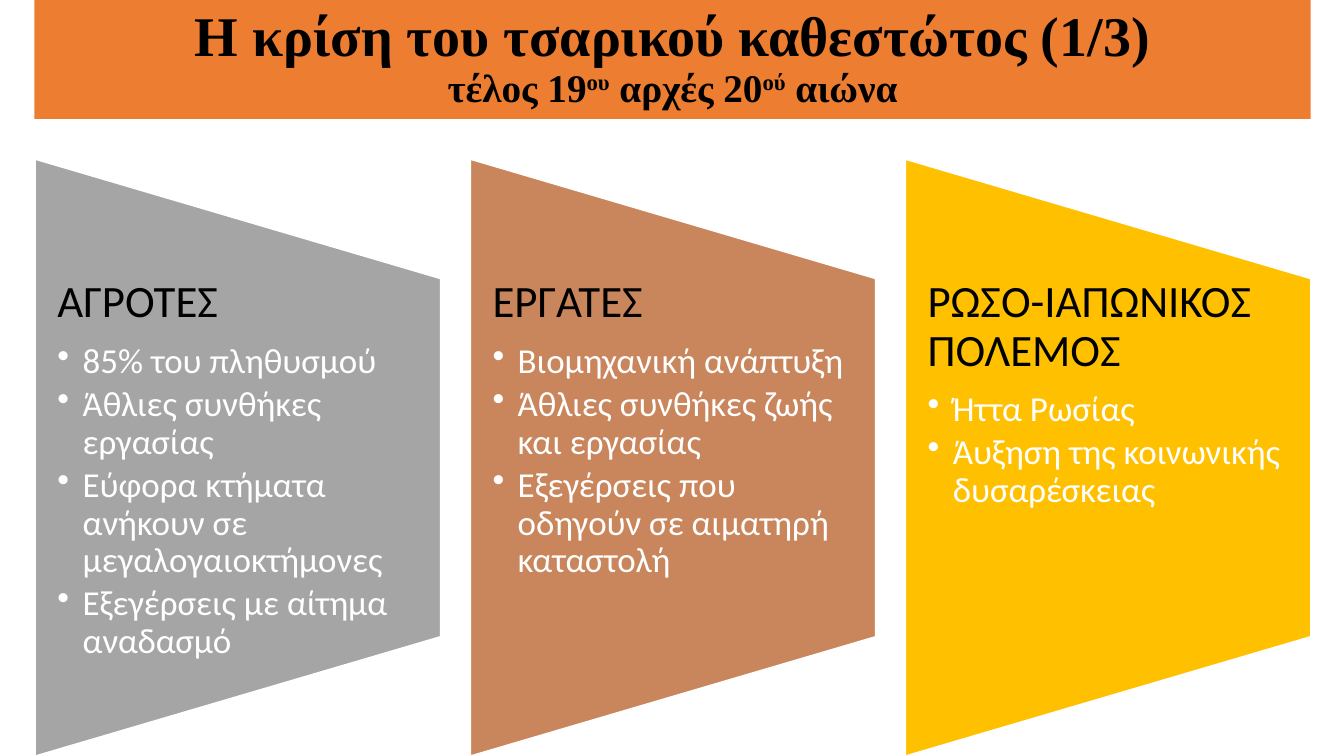
import dataclasses

import pptx
import pptx.dml.color
import pptx.enum.shapes
import pptx.enum.text
import pptx.oxml
import pptx.oxml.ns
import pptx.util

Inches = pptx.util.Inches
Pt = pptx.util.Pt


@dataclasses.dataclass
class Panel:
    head: str
    fill: str
    points: list[str]


@dataclasses.dataclass
class Part:
    text: str
    size: int
    raised: bool = False


PANELS = [
    Panel("ΑΓΡΟΤΕΣ", "A5A5A5", [
        "85% του πληθυσμού",
        "Άθλιες συνθήκες εργασίας",
        "Εύφορα κτήματα ανήκουν σε μεγαλογαιοκτήμονες",
        "Εξεγέρσεις με αίτημα αναδασμό",
    ]),
    Panel("ΕΡΓΑΤΕΣ", "C9865C", [
        "Βιομηχανική ανάπτυξη",
        "Άθλιες συνθήκες ζωής και εργασίας",
        "Εξεγέρσεις που οδηγούν σε αιματηρή καταστολή",
    ]),
    Panel("ΡΩΣΟ-ΙΑΠΩΝΙΚΟΣ ΠΟΛΕΜΟΣ", "FFC000", [
        "Ήττα Ρωσίας",
        "Άυξηση της κοινωνικής δυσαρέσκειας",
    ]),
]

TITLE = "Η κρίση του τσαρικού καθεστώτος (1/3)"
PERIOD = [
    Part("τέλος 19", 28),
    Part("ου", 28, True),
    Part(" αρχές 20", 28),
    Part("ού", 28, True),
    Part(" αιώνα", 28),
]

LEFT, STEP = 0.35, 4.315
WIDE, TALL = 4.02, 5.92
MID = 4.54


def color(code: str) -> pptx.dml.color.RGBColor:
    return pptx.dml.color.RGBColor.from_string(code)


def paint(shape, fill: str) -> None:
    shape.shadow.inherit = False
    shape.fill.solid()
    shape.fill.fore_color.rgb = color(fill)


def style(para, face: str, code: str, size: float | None = None,
          bold: bool = False) -> None:
    para.line_spacing = 0.9
    para.font.name = face
    para.font.color.rgb = color(code)
    para.font.bold = bold
    if size:
        para.font.size = Pt(size)


def add_part(para, part: Part) -> None:
    run = para.add_run()
    run.text = part.text
    run.font.size = Pt(part.size)
    if part.raised:
        run.font._element.set("baseline", "30000")


def add_title(slide) -> None:
    bar = slide.shapes.add_shape(
        pptx.enum.shapes.MSO_SHAPE.RECTANGLE,
        Inches(0.34), 0, Inches(12.66), Inches(1.18))
    paint(bar, "ED7D31")
    bar.line.fill.background()
    frame = bar.text_frame
    frame.word_wrap = True
    frame.vertical_anchor = pptx.enum.text.MSO_ANCHOR.MIDDLE
    para = frame.paragraphs[0]
    para.alignment = pptx.enum.text.PP_ALIGN.CENTER
    style(para, "Times New Roman", "000000", bold=True)
    add_part(para, Part(TITLE, 40))
    para.add_line_break()
    for part in PERIOD:
        add_part(para, part)


def add_point(frame, text: str) -> None:
    para = frame.add_paragraph()
    para.text = text
    para.level = 1
    para.space_after = Pt(3.75)
    props = para._p.get_or_add_pPr()
    props.set("marL", str(Inches(0.25)))
    props.set("indent", str(Inches(-0.25)))
    mark = pptx.oxml.parse_xml(
        f'<a:buChar {pptx.oxml.ns.nsdecls("a")} char="•"/>')
    props.append(mark)
    style(para, "Calibri", "FFFFFF", 25)


def add_panel(slide, panel: Panel, left: float) -> None:
    block = slide.shapes.add_shape(
        pptx.enum.shapes.MSO_SHAPE.FLOWCHART_MANUAL_OPERATION,
        Inches(left + (WIDE - TALL) / 2), Inches(MID - WIDE / 2),
        Inches(TALL), Inches(WIDE))
    block.rotation = 270
    paint(block, panel.fill)
    block.line.color.rgb = color("FFFFFF")
    block.line.width = Pt(1)

    box = slide.shapes.add_textbox(
        Inches(left), Inches(2.77), Inches(WIDE), Inches(3.55))
    frame = box.text_frame
    frame.word_wrap = True
    frame.margin_left = frame.margin_right = Inches(0.22)
    frame.margin_top = frame.margin_bottom = 0
    head = frame.paragraphs[0]
    head.text = panel.head
    head.space_after = Pt(11.2)
    style(head, "Calibri", "000000", 32)
    for text in panel.points:
        add_point(frame, text)


def main() -> None:
    deck = pptx.Presentation()
    deck.slide_width = Inches(13.33)
    deck.slide_height = Inches(7.5)
    slide = deck.slides.add_slide(deck.slide_layouts[6])
    add_title(slide)
    for spot, panel in enumerate(PANELS):
        add_panel(slide, panel, LEFT + spot * STEP)
    deck.save("out.pptx")


if __name__ == "__main__":
    main()
